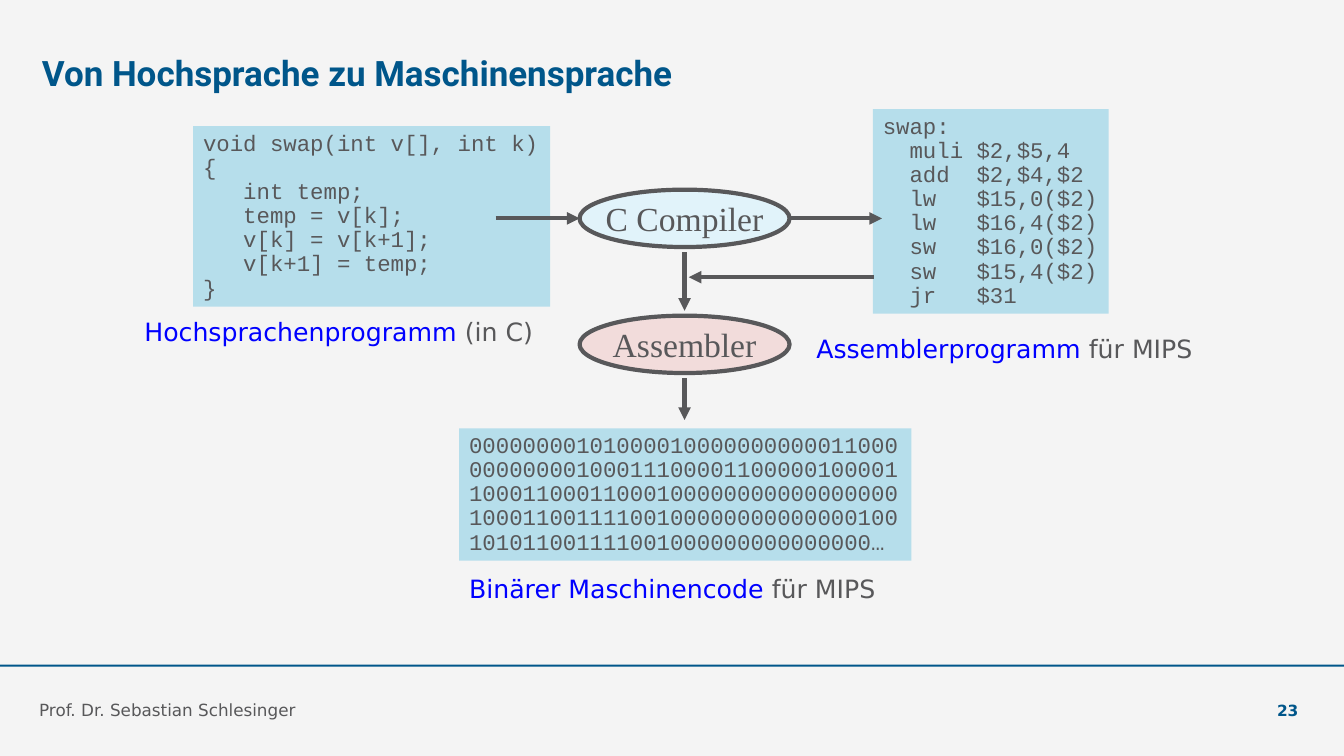
"""Build the slide showing the way from C code to machine code."""
from lxml import etree
from pptx import Presentation
from pptx import util as u
from pptx.dml.color import RGBColor
from pptx.enum import shapes, text
from pptx.oxml.ns import qn

THEME = {
    "back": "F4F4F4", "navy": "00568A", "grey": "58585A", "blue": "0000FF",
    "code": "009DD1", "sky": "E1F3FA", "rose": "F2DCDB", "alpha": 25,
    "head": "Roboto", "body": "DejaVu Sans", "mono": "Courier New", "serif": "Times New Roman",
    "title": 25, "node": 24, "label": 18, "source": 16, "foot": 12, "page": 11, "line": 3,
}
SIZE = (960, 540)
TITLE = "Von Hochsprache zu Maschinensprache"
AUTHOR = "Prof. Dr. Sebastian Schlesinger"
PAGE = "23"

CODES = [
    ((138, 90, 255, 129), """void swap(int v[], int k)
{
   int temp;
   temp = v[k];
   v[k] = v[k+1];
   v[k+1] = temp;
}"""),
    ((623.5, 78, 168.5, 146), """swap:
  muli $2,$5,4
  add  $2,$4,$2
  lw   $15,0($2)
  lw   $16,4($2)
  sw   $16,0($2)
  sw   $15,4($2)
  jr   $31"""),
    ((328, 306, 323, 94.5), """00000000101000010000000000011000
00000000100011100001100000100001
10001100011000100000000000000000
10001100111100100000000000000100
101011001111001000000000000000…"""),
]
LABELS = [
    ((96, 222, 300, 29), "Hochsprachenprogramm", " (in C)"),
    ((576, 234.5, 312, 29), "Assemblerprogramm", " für MIPS"),
    ((328, 405.5, 363, 29), "Binärer Maschinencode", " für MIPS"),
]
NODES = [("C Compiler", 135.5, "sky"), ("Assembler", 225.5, "rose")]
LEFT, WIDE, HIGH = 414, 150, 41
MID = LEFT + WIDE / 2
ARROWS = [
    (354, 156, LEFT, 156),
    (LEFT + WIDE, 156, 630, 156),
    (MID, 180, MID, 222),
    (MID, 270, MID, 300),
    (624, 198, 492, 198),
]


def color(name):
    return RGBColor.from_string(THEME[name])


def write(shape, rows, align="LEFT", anchor="MIDDLE", inset=(0, 0), space=None, wrap=True):
    """Fill a shape with rows of runs: (words, font, size, colour, bold)."""
    frame = shape.text_frame
    frame.word_wrap = wrap
    frame.vertical_anchor = text.MSO_ANCHOR[anchor]
    frame.margin_left = frame.margin_right = u.Pt(inset[0])
    frame.margin_top = frame.margin_bottom = u.Pt(inset[1])
    for i, row in enumerate(rows):
        para = frame.add_paragraph() if i else frame.paragraphs[0]
        para.alignment = text.PP_ALIGN[align]
        if space:
            para.line_spacing = space
        for words, font, size, tint, bold in row:
            run = para.add_run()
            run.text = words
            run.font.name = THEME[font]
            run.font.size = u.Pt(THEME[size])
            run.font.color.rgb = color(tint)
            run.font.bold = bold


def add_box(slide, area, rows, **opts):
    write(slide.shapes.add_textbox(*map(u.Pt, area)), rows, **opts)


def add_form(slide, kind, area, fill, edge=None):
    form = slide.shapes.add_shape(shapes.MSO_SHAPE[kind], *map(u.Pt, area))
    form.shadow.inherit = False
    form.fill.solid()
    form.fill.fore_color.rgb = color(fill)
    if edge:
        form.line.color.rgb = color(edge)
        form.line.width = u.Pt(THEME["line"])
    else:
        form.line.fill.background()
    return form


def add_code(slide, area, code):
    form = add_form(slide, "RECTANGLE", area, "code")
    tint = form.fill._xPr.find(".//" + qn("a:srgbClr"))
    etree.SubElement(tint, qn("a:alpha"), val=str(THEME["alpha"] * 1000))
    rows = [[(line, "mono", "source", "grey", False)] for line in code.split("\n")]
    write(form, rows, inset=(7.2, 3.6), space=0.9, wrap=False)


def add_arrow(slide, ends):
    line = slide.shapes.add_connector(shapes.MSO_CONNECTOR.STRAIGHT, *map(u.Pt, ends))
    line.line.color.rgb = color("grey")
    line.line.width = u.Pt(THEME["line"])
    etree.SubElement(line.line._get_or_add_ln(), qn("a:tailEnd"), type="triangle")
    etree.SubElement(line._element.spPr, qn("a:effectLst"))


def main():
    deck = Presentation()
    deck.slide_width, deck.slide_height = map(u.Pt, SIZE)
    slide = deck.slides.add_slide(deck.slide_layouts[6])
    slide.background.fill.solid()
    slide.background.fill.fore_color.rgb = color("back")

    add_form(slide, "RECTANGLE", (0, 474.8, SIZE[0], 1.4), "navy")
    add_box(slide, (30, 29, 600, 45), [[(TITLE, "head", "title", "navy", True)]])
    add_box(slide, (28, 486, 662, 28), [[(AUTHOR, "body", "foot", "grey", False)]],
            anchor="BOTTOM")
    add_box(slide, (866, 486, 61.5, 28), [[(PAGE, "body", "page", "navy", True)]],
            align="RIGHT", anchor="BOTTOM")

    for name, top, fill in NODES:
        node = add_form(slide, "OVAL", (LEFT, top, WIDE, HIGH), fill, "grey")
        write(node, [[(name, "serif", "node", "grey", False)]], align="CENTER", wrap=False)
    for area, code in CODES:
        add_code(slide, area, code)
    for area, name, rest in LABELS:
        runs = [(name, "body", "label", "blue", False), (rest, "body", "label", "grey", False)]
        add_box(slide, area, [runs], inset=(7.2, 3.6))
    for ends in ARROWS:
        add_arrow(slide, ends)
    deck.save("out.pptx")


if __name__ == "__main__":
    main()
